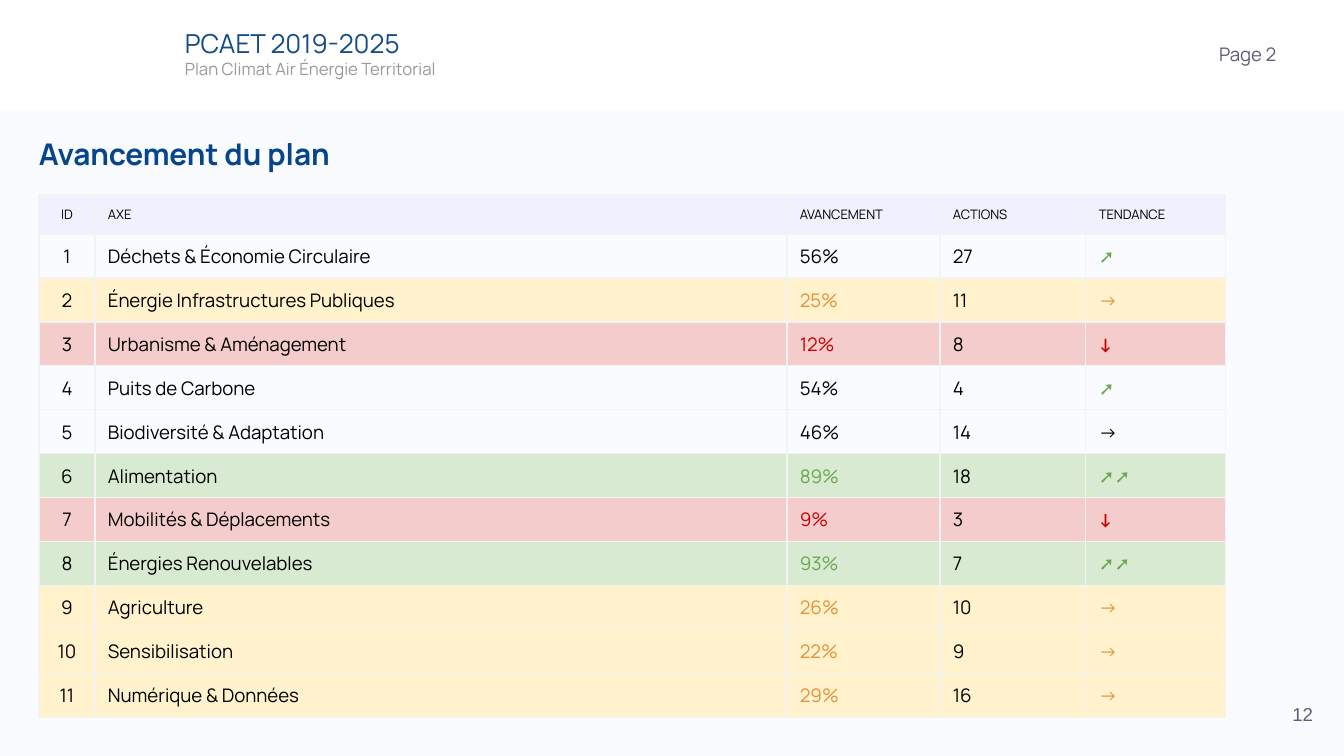
from lxml import etree
from pptx import Presentation
from pptx.dml.color import RGBColor
from pptx.enum.shapes import MSO_SHAPE
from pptx.enum.text import MSO_ANCHOR, PP_ALIGN
from pptx.oxml.ns import qn
from pptx.util import Pt

RECTANGLE = MSO_SHAPE.RECTANGLE
TOP, MIDDLE, BOTTOM = MSO_ANCHOR.TOP, MSO_ANCHOR.MIDDLE, MSO_ANCHOR.BOTTOM
LEFT, CENTER, RIGHT = PP_ALIGN.LEFT, PP_ALIGN.CENTER, PP_ALIGN.RIGHT

BACKGROUND = RGBColor(0xFA, 0xFB, 0xFF)
WHITE = RGBColor(0xFF, 0xFF, 0xFF)
BLACK = RGBColor(0x00, 0x00, 0x00)
BLUE = RGBColor(0x15, 0x4C, 0x88)
TITLE_BLUE = RGBColor(0x05, 0x45, 0x8D)
GRAY = RGBColor(0x99, 0x99, 0x99)
SLATE = RGBColor(0x5D, 0x5D, 0x79)
BORDER = RGBColor(0xF3, 0xF3, 0xF3)
LAVENDER = RGBColor(0xF0, 0xF0, 0xFE)
YELLOW = RGBColor(0xFF, 0xF2, 0xCC)
PINK = RGBColor(0xF4, 0xCC, 0xCC)
MINT = RGBColor(0xD9, 0xEA, 0xD3)
GREEN = RGBColor(0x6A, 0xA8, 0x4F)
ORANGE = RGBColor(0xE6, 0x91, 0x38)
RED = RGBColor(0xCC, 0x00, 0x00)

FONT = "Manrope"
EMU_PER_PX = 914400 / 134.4
PAGE_WIDTH, PAGE_HEIGHT = 1344, 756
INSET = 13

# Status: row fill, colour of the progress, colour of the trend
STATUSES = {
    "rising": (None, BLACK, GREEN),
    "stable": (None, BLACK, BLACK),
    "slow": (YELLOW, ORANGE, ORANGE),
    "late": (PINK, RED, RED),
    "ahead": (MINT, GREEN, GREEN),
}
HEADINGS = ("ID", "AXE", "AVANCEMENT", "ACTIONS", "TENDANCE")
AXES = (
    ("Déchets & Économie Circulaire", "56%", "27", "➚", "rising"),
    ("Énergie Infrastructures Publiques", "25%", "11", "→", "slow"),
    ("Urbanisme & Aménagement", "12%", "8", "↓", "late"),
    ("Puits de Carbone", "54%", "4", "➚", "rising"),
    ("Biodiversité & Adaptation", "46%", "14", "→", "stable"),
    ("Alimentation", "89%", "18", "➚➚", "ahead"),
    ("Mobilités & Déplacements", "9%", "3", "↓", "late"),
    ("Énergies Renouvelables", "93%", "7", "➚➚", "ahead"),
    ("Agriculture", "26%", "10", "→", "slow"),
    ("Sensibilisation", "22%", "9", "→", "slow"),
    ("Numérique & Données", "29%", "16", "→", "slow"),
)
COLUMN_WIDTHS = (56, 692, 153, 146, 140)
HEADING_HEIGHT, ROW_HEIGHT = 39, 44


def px(length):
    return round(length * EMU_PER_PX)


def add_span(para, text, size, color, bold=False, font=FONT):
    span = para.add_run()
    span.text = text
    span.font.name = font
    span.font.size = Pt(size)
    span.font.bold = bold
    span.font.color.rgb = color


def set_insets(target, inset):
    target.margin_left = target.margin_right = px(inset)
    target.margin_top = target.margin_bottom = px(inset)


def add_text(page, box, text, size, color, anchor=MIDDLE, align=LEFT,
             inset=0, bold=False, font=FONT):
    frame = page.shapes.add_textbox(*map(px, box)).text_frame
    frame.word_wrap = True
    frame.vertical_anchor = anchor
    set_insets(frame, inset)
    para = frame.paragraphs[0]
    para.alignment = align
    add_span(para, text, size, color, bold, font)


def add_header(page, box):
    left, top, width, height = box
    band = page.shapes.add_shape(RECTANGLE, *map(px, box))
    band.shadow.inherit = False
    band.fill.solid()
    band.fill.fore_color.rgb = WHITE
    band.line.fill.background()
    add_text(page, (left + 185, top + 27, 578, 32), "PCAET 2019-2025", 14, BLUE)
    add_text(page, (left + 185, top + 59, 1046, 20),
             "Plan Climat Air Énergie Territorial", 9, GRAY)
    add_text(page, (left + width - 138, top + 32, 95, 50), "Page 2", 10, SLATE,
             anchor=TOP, inset=INSET)


def add_borders(cell):
    properties = cell._tc.get_or_add_tcPr()
    for index, side in enumerate(("a:lnL", "a:lnR", "a:lnT", "a:lnB")):
        line = etree.Element(qn(side), w=str(Pt(0.75)))
        fill = etree.SubElement(line, qn("a:solidFill"))
        etree.SubElement(fill, qn("a:srgbClr"), val=str(BORDER))
        properties.insert(index, line)


def fill_cell(cell, text, size, color, fill, align, bold):
    set_insets(cell, INSET)
    cell.vertical_anchor = TOP
    if fill is None:
        cell.fill.background()
    else:
        cell.fill.solid()
        cell.fill.fore_color.rgb = fill
    add_borders(cell)
    para = cell.text_frame.paragraphs[0]
    para.alignment = align
    para.line_spacing = 0.8
    add_span(para, text, size, color, bold)


def add_progress_table(page, box):
    table = page.shapes.add_table(
        len(AXES) + 1, len(HEADINGS), *map(px, box)).table
    table.first_row = table.horz_banding = False
    for column, width in zip(table.columns, COLUMN_WIDTHS):
        column.width = px(width)

    # Texts, size, fill and colours of each row
    rows = [(HEADINGS, 7, LAVENDER, [BLACK] * len(HEADINGS))]
    for number, (*values, status) in enumerate(AXES, 1):
        fill, progress, trend = STATUSES[status]
        rows.append(((str(number), *values), 10, fill,
                     (BLACK, BLACK, progress, BLACK, trend)))

    for index, (texts, size, fill, colors) in enumerate(rows):
        table.rows[index].height = px(ROW_HEIGHT if index else HEADING_HEIGHT)
        for column, (text, color) in enumerate(zip(texts, colors)):
            fill_cell(table.cell(index, column), text, size, color, fill,
                      LEFT if column else CENTER, text == "↓")


def add_progress_section(page, box):
    left, top, width, height = box
    add_text(page, (left, top, 879, 36), "Avancement du plan", 16, TITLE_BLUE,
             anchor=BOTTOM, bold=True)
    table_height = HEADING_HEIGHT + ROW_HEIGHT * len(AXES)
    add_progress_table(page, (left, top + 59, width, table_height))


def add_page_number(page, box):
    add_text(page, box, "12", 10, SLATE, align=RIGHT, inset=INSET, font="Arial")


def main():
    deck = Presentation()
    deck.slide_width, deck.slide_height = px(PAGE_WIDTH), px(PAGE_HEIGHT)
    page = deck.slides.add_slide(deck.slide_layouts[6])
    page.background.fill.solid()
    page.background.fill.fore_color.rgb = BACKGROUND

    add_header(page, (0, 0, PAGE_WIDTH, 111))
    add_progress_section(page, (39, 136, sum(COLUMN_WIDTHS), 620))
    add_page_number(page, (1246, 685, 80, 58))
    deck.save("out.pptx")


if __name__ == "__main__":
    main()
